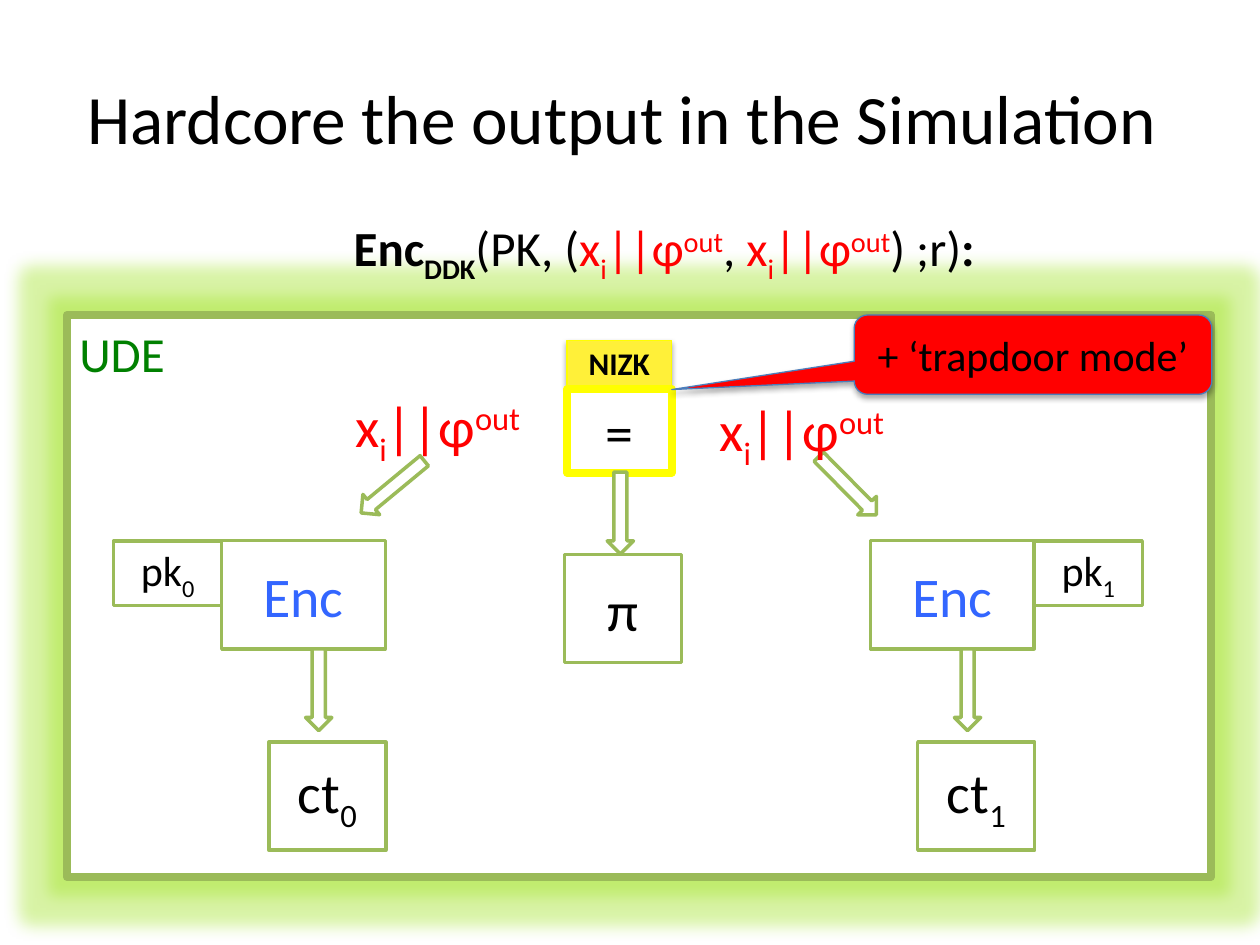
import pptx
import pptx.dml.color
import pptx.enum.shapes
import pptx.enum.text
import pptx.oxml
import pptx.oxml.ns
import pptx.util
from pptx.util import Cm

KIND = pptx.enum.shapes.MSO_SHAPE
ALIGN = pptx.enum.text.PP_ALIGN
MIDDLE = pptx.enum.text.MSO_ANCHOR.MIDDLE
GREEN, YELLOW, RED, BLUE = "9BBB59", "FFFF00", "FF0000", "3366FF"
BLACK, WHITE = "000000", "FFFFFF"
SUB, SUP = -25000, 30000
# Runs are (text, baseline, colour, bold)
INPUT = [("x", 0, RED), ("i", SUB, RED), ("||φ", 0, RED), ("out", SUP, RED)]
SHADOW = ('<a:outerShdw %s blurRad="40000" dist="23000" dir="5400000" rotWithShape="0">'
          '<a:srgbClr val="000000"><a:alpha val="35000"/></a:srgbClr></a:outerShdw>')
GLOW = ('<a:glow %s rad="228600"><a:srgbClr val="9EE31F">'
        '<a:alpha val="40000"/></a:srgbClr></a:glow>')


def color(code):
    return pptx.dml.color.RGBColor.from_string(code)


def write(frame, runs, size, ink=BLACK, bold=False, align=ALIGN.CENTER):
    para = frame.paragraphs[0]
    para.alignment = align
    para.font.name = "Calibri"
    para.font.size = pptx.util.Pt(size)
    para.font.bold = bold
    para.font.color.rgb = color(ink)
    for text, base, *style in runs:
        run = para.add_run()
        run.text = text
        if base:
            run.font._element.set("baseline", str(base))
        if style:
            run.font.color.rgb = color(style[0])
        if len(style) > 1:
            run.font.bold = style[1]


def shape(slide, kind, x, y, w, h, fill=WHITE, line=GREEN, width=2):
    item = slide.shapes.add_shape(kind, Cm(x), Cm(y), Cm(w), Cm(h))
    item.shadow.inherit = False
    item.fill.solid()
    item.fill.fore_color.rgb = color(fill)
    item.line.color.rgb = color(line)
    item.line.width = pptx.util.Pt(width)
    return item


def effect(item, xml):
    group = item._element.spPr.find(pptx.oxml.ns.qn("a:effectLst"))
    group.append(pptx.oxml.parse_xml(xml % pptx.oxml.ns.nsdecls("a")))


def box(slide, x, y, w, h, runs, size=32, ink=BLACK, bold=False,
        kind=KIND.RECTANGLE, **look):
    item = shape(slide, kind, x, y, w, h, **look)
    item.text_frame.vertical_anchor = MIDDLE
    item.text_frame.word_wrap = True
    write(item.text_frame, runs, size, ink, bold)
    return item


def label(slide, x, y, w, h, runs, size, wrap=False, **style):
    frame = slide.shapes.add_textbox(Cm(x), Cm(y), Cm(w), Cm(h)).text_frame
    frame.word_wrap = wrap
    write(frame, runs, size, **style)
    return frame


def arrow(slide, x, y, turn=90):
    shape(slide, KIND.RIGHT_ARROW, x, y, 1.65, 0.53).rotation = turn


def branch(slide, x, key, index):
    """Encryption box with its key beside it and its ciphertext below."""
    box(slide, x, 10.9, 3.3, 2.18, [("Enc", 0)], ink=BLUE)
    arrow(slide, x + 1.13, 13.64)
    box(slide, key, 10.91, 2.18, 1.3, [("pk", 0), (index, SUB)], size=24)
    box(slide, x + 0.95, 14.96, 2.36, 2.18, [("ct", 0), (index, SUB)])


def main():
    deck = pptx.Presentation()
    deck.slide_width, deck.slide_height = Cm(25.4), Cm(19.05)
    slide = deck.slides.add_slide(deck.slide_layouts[6])

    # Glowing frame
    frame = shape(slide, KIND.RECTANGLE, 1.35, 6.35, 23.06, 11.33, width=4.5)
    effect(frame, GLOW)

    # Title and formula
    title = label(slide, 1.27, 0.76, 22.86, 3.18,
                  [("Hardcore the output in the Simulation ", 0)], 39.6, True)
    title.vertical_anchor = MIDDLE
    label(slide, 6.88, 4.27, 13.77, 1.45,
          [("Enc", 0, BLACK, True), ("DDK", SUB, BLACK, True), ("(PK, (", 0),
           *INPUT, (", ", 0), *INPUT, (") ;r)", 0), (":", 0, BLACK, True)],
          28, True, align=ALIGN.LEFT)

    # Two encryption branches
    branch(slide, 4.47, 2.29, "0")
    branch(slide, 17.55, 20.85, "1")
    arrow(slide, 7.09, 9.55, 140.4)
    arrow(slide, 16.26, 9.53, 45.3)

    # Proof in the middle
    proof = box(slide, 11.43, 6.86, 2.11, 0.91, [("NIZK", 0)], 18, bold=True,
                fill="FFF039", line=YELLOW, width=0.75)
    effect(proof, SHADOW)
    box(slide, 11.43, 7.85, 2.11, 1.68, [("=", 0)], line=YELLOW, width=4.5)
    arrow(slide, 11.68, 10.08)
    box(slide, 11.38, 11.18, 2.36, 2.18, [("π", 0)])

    # Labels inside the frame
    label(slide, 1.35, 6.4, 2.26, 1.45, [("UDE", 0)], 28, ink="008000",
          align=ALIGN.LEFT)
    for x, y in ((6.91, 7.77), (14.25, 7.85)):
        label(slide, x, y, 4.04, 1.63, INPUT, 32, ink=RED, align=ALIGN.LEFT)

    # Callout
    note = box(slide, 17.22, 6.35, 7.21, 1.6, [("+ ‘trapdoor mode’", 0)], 24,
               kind=KIND.ROUNDED_RECTANGULAR_CALLOUT,
               fill=RED, line="4B7EBC", width=0.75)
    for i, value in enumerate((-1.01, 0.44, 0.17)):
        note.adjustments[i] = value
    effect(note, SHADOW)

    deck.save("out.pptx")


if __name__ == "__main__":
    main()
